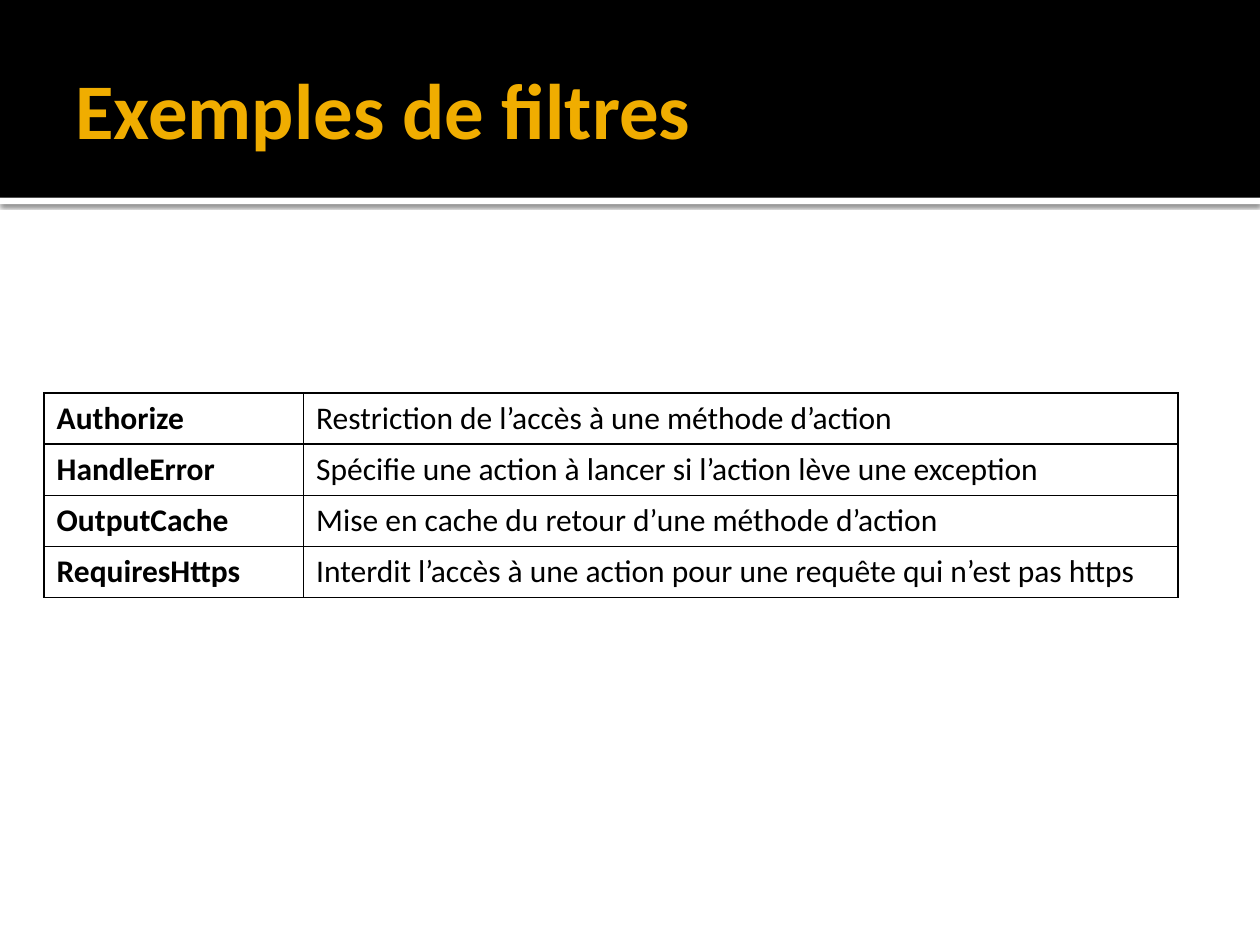
from lxml.etree import SubElement
from pptx import Presentation
from pptx.dml.color import RGBColor
from pptx.enum.shapes import MSO_SHAPE
from pptx.enum.text import MSO_ANCHOR, MSO_AUTO_SIZE, PP_ALIGN
from pptx.oxml import parse_xml
from pptx.oxml.ns import nsdecls, qn
from pptx.util import Inches, Pt

BLACK = RGBColor(0x00, 0x00, 0x00)
WHITE = RGBColor(0xFF, 0xFF, 0xFF)
GOLD = RGBColor(0xF0, 0xAD, 0x00)
FONT = "Calibri"

FILTERS = [
    ("Authorize", "Restriction de l’accès à une méthode d’action"),
    ("HandleError", "Spécifie une action à lancer si l’action lève une exception"),
    ("OutputCache", "Mise en cache du retour d’une méthode d’action"),
    ("RequiresHttps", "Interdit l’accès à une action pour une requête qui n’est pas https"),
]


def add_run(par, text, size, color, bold):
    run = par.add_run()
    run.text = text
    font = run.font
    font.name, font.size, font.bold = FONT, Pt(size), bold
    font.color.rgb = color


def add_bar(slide, left, top, width, height, color):
    bar = slide.shapes.add_shape(
        MSO_SHAPE.RECTANGLE, Inches(left), Inches(top), Inches(width), Inches(height))
    bar.shadow.inherit = False
    bar.fill.solid()
    bar.fill.fore_color.rgb = color
    bar.line.fill.background()
    return bar


def add_shadow(bar):
    props = bar.element.spPr
    props.remove(props.find(qn("a:effectLst")))
    props.append(parse_xml(
        f'<a:effectLst {nsdecls("a")}>'
        f'<a:outerShdw blurRad="{Pt(2.5)}" dist="{Pt(0.8)}" dir="5400000" rotWithShape="0">'
        f'<a:srgbClr val="{BLACK}"><a:alpha val="60000"/></a:srgbClr>'
        '</a:outerShdw></a:effectLst>'))


def add_header(slide, left, top, width, height, text):
    # White rule with a shadow, under the black band
    add_shadow(add_bar(slide, left, top + height, width, 0.05, WHITE))
    add_bar(slide, left, top, width, height, BLACK)

    # Title, brought in front of the band
    title = slide.shapes.title
    title.element.getparent().append(title.element)
    title.left, title.top = Inches(left + 0.5), Inches(top + 0.17)
    title.width, title.height = Inches(width - 1), Inches(height - 0.2)
    frame = title.text_frame
    frame.word_wrap = True
    frame.auto_size = MSO_AUTO_SIZE.NONE
    frame.vertical_anchor = MSO_ANCHOR.MIDDLE
    frame.margin_left = Inches(0.1)
    frame.margin_right = frame.margin_top = frame.margin_bottom = Inches(0.05)
    par = frame.paragraphs[0]
    par.alignment = PP_ALIGN.LEFT
    add_run(par, text, 45, GOLD, True)


def add_borders(cell):
    props = cell._tc.get_or_add_tcPr()
    for place, side in enumerate(("a:lnL", "a:lnR", "a:lnT", "a:lnB")):
        line = SubElement(props, qn(side), w=str(Pt(1)))
        fill = SubElement(line, qn("a:solidFill"))
        SubElement(fill, qn("a:srgbClr"), val=str(BLACK))
        props.insert(place, line)


def add_grid(slide, left, top, width, height, rows):
    table = slide.shapes.add_table(
        len(rows), 2, Inches(left), Inches(top), Inches(width), Inches(height)).table
    table.first_row = table.horz_banding = False
    first = 2.06
    table.columns[0].width = Inches(first)
    table.columns[1].width = Inches(width - first)
    for r, row in enumerate(rows):
        for c, text in enumerate(row):
            cell = table.cell(r, c)
            cell.fill.background()
            add_borders(cell)
            add_run(cell.text_frame.paragraphs[0], text, 18, BLACK, c == 0)


def main():
    deck = Presentation()
    deck.slide_width, deck.slide_height = Inches(10), Inches(7.5)
    slide = deck.slides.add_slide(deck.slide_layouts[5])
    slide.background.fill.solid()
    slide.background.fill.fore_color.rgb = WHITE
    add_header(slide, 0, 0, 10, 1.57, "Exemples de filtres")
    add_grid(slide, 0.35, 3.12, 9, 1.62, FILTERS)
    deck.save("out.pptx")


if __name__ == "__main__":
    main()
